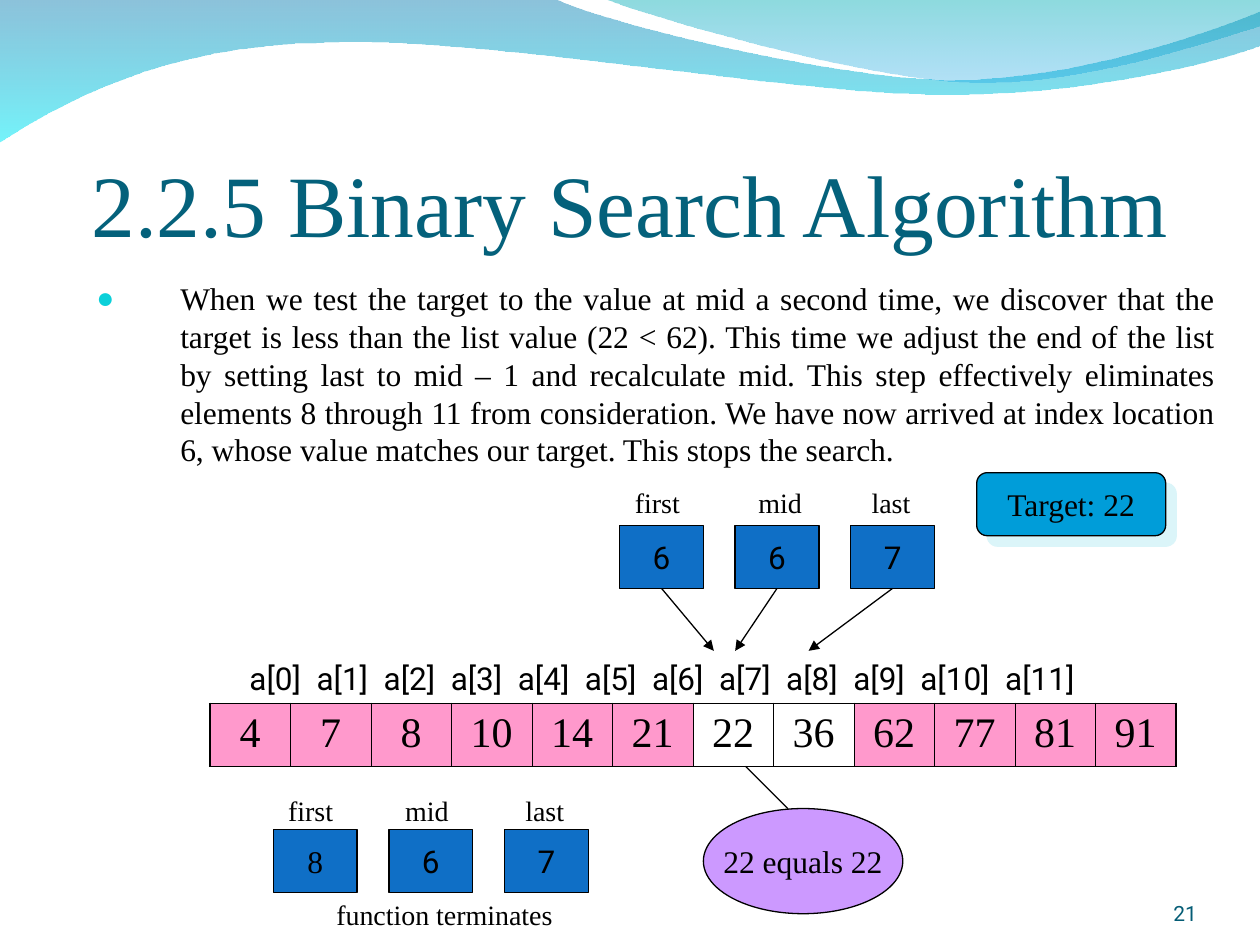
from dataclasses import dataclass

from lxml.etree import SubElement
from pptx import Presentation
from pptx.dml.color import RGBColor
from pptx.enum.shapes import MSO_CONNECTOR, MSO_SHAPE
from pptx.enum.text import MSO_ANCHOR, MSO_AUTO_SIZE, PP_ALIGN
from pptx.oxml.ns import qn
from pptx.util import Cm, Pt


@dataclass(frozen=True)
class Theme:
    serif: str = "Times New Roman"
    sans: str = "Roboto"
    title: str = "04617B"
    ink: str = "000000"
    bullet: str = "0BD0D9"
    page: str = "045C75"
    box: str = "0F6FC6"
    target: str = "009DD9"
    shadow: str = "DBF5F9"
    verdict: str = "CC99FF"
    ruled_out: str = "FF99CC"
    title_size: float = 50
    value_size: float = 24
    text_size: float = 18
    label_size: float = 16
    page_size: float = 12
    outline: float = 0.75


theme = Theme()


def write(frame, text, size, font=theme.serif, color=theme.ink, align=PP_ALIGN.LEFT):
    frame.text = text
    paragraph = frame.paragraphs[0]
    paragraph.alignment = align
    run_font = paragraph.runs[0].font
    run_font.size, run_font.name = Pt(size), font
    run_font.color.rgb = RGBColor.from_string(color)


def draw_shape(kind, left, top, width, height, fill, text, font=theme.serif):
    shape = slide.shapes.add_shape(kind, Cm(left), Cm(top), Cm(width), Cm(height))
    shape.shadow.inherit = False
    shape.fill.solid()
    shape.fill.fore_color.rgb = RGBColor.from_string(fill)
    shape.line.color.rgb = RGBColor.from_string(theme.ink)
    shape.line.width = Pt(theme.outline)
    shape.text_frame.word_wrap = False
    shape.text_frame.vertical_anchor = MSO_ANCHOR.MIDDLE
    write(shape.text_frame, text, theme.text_size, font, align=PP_ALIGN.CENTER)
    return shape


prs = Presentation()
prs.slide_width, prs.slide_height = Cm(25.4), Cm(19.05)
slide = prs.slides.add_slide(prs.slide_layouts[1])

# Waves: start, then straight steps (one point) or Bézier steps (three points);
# gradient stops are colour and opacity in percent
waves = [
    ((0, -0.03),
     [[(11.18, -0.03)],
      [(12.09, 0.43), (16.87, 1.6), (19.25, 1.6)],
      [(21.67, 1.6), (24.33, 0.66), (25.4, 0.23)],
      [(25.42, 0.91)],
      [(24.97, 1.12), (22.1, 1.93), (18.95, 1.9)],
      [(15.8, 1.9), (9.7, 0.71), (6.53, 0.86)],
      [(3.28, 0.89), (1.17, 2.11), (-0.03, 2.87)]],
     [("0079AF", 45), ("00EBF8", 55)]),
    ((12.17, -0.03),
     [[(12.93, 0.28), (17.32, 1.57), (19.53, 1.65)],
      [(21.74, 1.75), (24.41, 0.81), (25.4, 0.53)],
      [(25.4, 0)]],
     [("00ADB6", 45), ("009BE5", 30)]),
]
for depth, (start, steps, stops) in enumerate(waves):
    builder = slide.shapes.build_freeform(Cm(start[0]), Cm(start[1]))
    builder.add_line_segments([(Cm(x), Cm(y)) for step in steps for x, y in step], close=True)
    wave = builder.convert_to_shape()
    # Join each three-point step into one curve
    segments = iter(list(wave._element.spPr.iter(qn("a:lnTo"))))
    for step in steps:
        first, *others = [next(segments) for _ in step]
        if others:
            first.tag = qn("a:cubicBezTo")
        for other in others:
            first.append(other[0])
            other.getparent().remove(other)
    wave.shadow.inherit = False
    wave.line.fill.background()
    wave.fill.gradient()
    wave.fill.gradient_angle = 270
    for stop, (color, _) in zip(wave.fill.gradient_stops, stops):
        stop.color.rgb = RGBColor.from_string(color)
    for tint, (_, opacity) in zip(wave._element.spPr.iter(qn("a:srgbClr")), stops):
        SubElement(tint, qn("a:alpha"), val=str(opacity * 1000))
    slide.shapes._spTree.insert(2 + depth, wave._element)

# Title
title = slide.shapes.title
title.left, title.top, title.width, title.height = Cm(1.27), Cm(1.96), Cm(22.86), Cm(3.18)
heading = title.text_frame
heading.margin_left = heading.margin_right = heading.margin_bottom = 0
heading.margin_top = Cm(0.13)
heading.vertical_anchor = MSO_ANCHOR.BOTTOM
heading.auto_size = MSO_AUTO_SIZE.NONE
write(heading, "2.2.5 Binary Search Algorithm", theme.title_size,
      color=theme.title, align=PP_ALIGN.CENTER)

# Explanation
body = slide.placeholders[1]
body.left, body.top, body.width, body.height = Cm(1.69), Cm(5.5), Cm(23.07), Cm(11.43)
explanation = body.text_frame
explanation.auto_size = MSO_AUTO_SIZE.NONE
write(explanation,
      "When we test the target to the value at mid a second time, we discover that the "
      "target is less than the list value (22 < 62). This time we adjust the end of the "
      "list by setting last to mid – 1 and recalculate mid. This step effectively "
      "eliminates elements 8 through 11 from consideration. We have now arrived at index "
      "location 6, whose value matches our target. This stops the search.",
      theme.text_size, align=PP_ALIGN.JUSTIFY)
explanation.paragraphs[0].space_before = Pt(0)
properties = explanation.paragraphs[0]._p.get_or_add_pPr()
properties.set("marL", str(Cm(1.69)))
properties.set("indent", str(-Cm(1.69)))
SubElement(SubElement(properties, qn("a:buClr")), qn("a:srgbClr"), val=theme.bullet)
SubElement(properties, qn("a:buSzPct"), val="95000")
SubElement(properties, qn("a:buChar"), char="●")

# Array: the elements still in the search range stay unfilled
values = [4, 7, 8, 10, 14, 21, 22, 36, 62, 77, 81, 91]
in_range = (6, 7)
array = slide.shapes.add_table(1, len(values), Cm(4.23), Cm(14.18), Cm(19.48), Cm(1.27)).table
array.first_row = array.horz_banding = False
for index, value in enumerate(values):
    cell = array.cell(0, index)
    write(cell.text_frame, str(value), theme.value_size, align=PP_ALIGN.CENTER)
    cell_properties = cell._tc.get_or_add_tcPr()
    for side in "LRTB":
        outer = side in "TB" or (side, index) in (("L", 0), ("R", len(values) - 1))
        border = SubElement(cell_properties, qn(f"a:ln{side}"),
                            w=str(Pt(1.08 if outer else 0.45)))
        SubElement(SubElement(border, qn("a:solidFill")), qn("a:srgbClr"), val=theme.ink)
    if index in in_range:
        cell.fill.background()
    else:
        cell.fill.solid()
        cell.fill.fore_color.rgb = RGBColor.from_string(theme.ruled_out)

# Variables before and after the last step
BOX_WIDTH, BOX_HEIGHT, BOX_STEP = 1.69, 1.27, 2.33
names = ["first", "mid", "last"]
label_widths = [1.46, 1.44, 1.36]
states = [
    (12.49, 10.59, "667", [theme.sans] * 3, 9.66, [12.55, 15.04, 17.32]),
    (5.51, 16.72, "867", [theme.serif, theme.sans, theme.sans], 15.88, [5.56, 7.92, 10.34]),
]
labels = [("function terminates", 6.53, 17.96, 4.95)]
variable_boxes = []
for left, top, digits, fonts, label_top, label_lefts in states:
    for i, (digit, font) in enumerate(zip(digits, fonts)):
        variable_boxes.append(draw_shape(MSO_SHAPE.RECTANGLE, left + i * BOX_STEP, top,
                                         BOX_WIDTH, BOX_HEIGHT, theme.box, digit, font))
        labels.append((names[i], label_lefts[i], label_top, label_widths[i]))

for text, left, top, width in labels:
    label = slide.shapes.add_textbox(Cm(left), Cm(top), Cm(width), Cm(0.94)).text_frame
    label.word_wrap = False
    label.auto_size = MSO_AUTO_SIZE.SHAPE_TO_FIT_TEXT
    write(label, text, theme.label_size)

# Array indices
indices = slide.shapes.add_textbox(Cm(4.78), Cm(13.16), Cm(18.52), Cm(1.02)).text_frame
indices.word_wrap = False
indices.auto_size = MSO_AUTO_SIZE.SHAPE_TO_FIT_TEXT
write(indices, "a[0]  a[1]  a[2]  a[3]  a[4]  a[5]  a[6]  a[7]  a[8]  a[9]  a[10]  a[11]",
      theme.text_size, theme.sans)

# Target and verdict
target = draw_shape(MSO_SHAPE.ROUNDED_RECTANGLE, 19.69, 9.53, 3.81, 1.27,
                    theme.target, "Target: 22")
cast = SubElement(target._element.spPr.find(qn("a:effectLst")), qn("a:outerShdw"),
                  dist=str(Pt(8.5)), dir="2700000", algn="ctr", rotWithShape="0")
SubElement(cast, qn("a:srgbClr"), val=theme.shadow)
draw_shape(MSO_SHAPE.OVAL, 14.18, 16.3, 4.02, 2.12, theme.verdict, "22 equals 22")

# Pointers from the variables into the array, and the verdict's line
pointers = [
    (variable_boxes[0], 13.34, 11.86, 14.39, 13.12),
    (variable_boxes[1], 15.67, 11.86, 14.82, 13.12),
    (variable_boxes[2], 18, 11.86, 16.3, 13.12),
    (None, 15.03, 15.45, 15.88, 16.3),
]
for variable, x1, y1, x2, y2 in pointers:
    pointer = slide.shapes.add_connector(MSO_CONNECTOR.STRAIGHT, Cm(x1), Cm(y1), Cm(x2), Cm(y2))
    pointer.line.color.rgb = RGBColor.from_string(theme.ink)
    pointer.line.width = Pt(theme.outline)
    if variable:
        pointer.begin_connect(variable, 2)
        SubElement(pointer.line._get_or_add_ln(), qn("a:tailEnd"), type="triangle")
    SubElement(pointer._element.spPr, qn("a:effectLst"))

# Page number
page = slide.shapes.add_textbox(Cm(22.02), Cm(17.65), Cm(2.11), Cm(1.02)).text_frame
page.word_wrap = True
page.margin_left = page.margin_right = page.margin_top = page.margin_bottom = 0
page.vertical_anchor = MSO_ANCHOR.BOTTOM
write(page, "21", theme.page_size, theme.sans, theme.page, PP_ALIGN.RIGHT)

prs.save("out.pptx")
